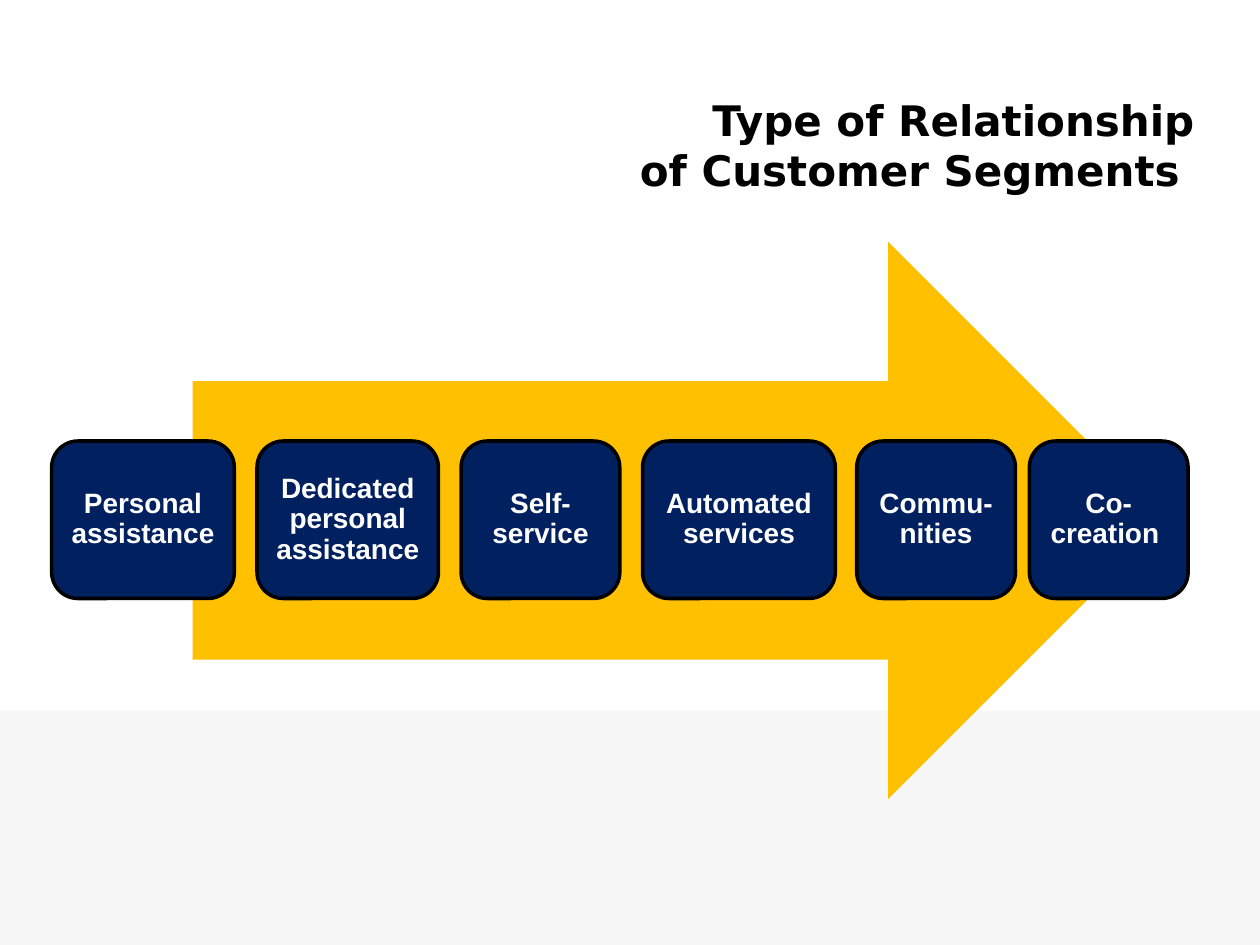
import pptx
import pptx.util
import pptx.dml.color
import pptx.enum.shapes
import pptx.enum.text
from pptx.util import Inches, Pt
from pptx.dml.color import RGBColor
from pptx.enum.shapes import MSO_SHAPE
from pptx.enum.text import MSO_ANCHOR, MSO_AUTO_SIZE, PP_ALIGN

TITLE_LINES = [" Type of Relationship", "of Customer Segments "]
# label, left, width
RELATIONSHIPS = [
    ("Personal assistance", 0.41, 1.45),
    ("Dedicated personal assistance", 2.04, 1.44),
    ("Self-service", 3.66, 1.26),
    ("Automated services", 5.1, 1.53),
    ("Commu- nities", 6.8, 1.26),
    ("Co-creation ", 8.17, 1.26),
]
CARD_TOP, CARD_HEIGHT = 3.5, 1.25
INSET = Inches(0.07)

BLACK = RGBColor(0x00, 0x00, 0x00)
WHITE = RGBColor(0xFF, 0xFF, 0xFF)
PALE_GREY = RGBColor(0xF7, 0xF7, 0xF7)
GOLD = RGBColor(0xFF, 0xC0, 0x00)
NAVY = RGBColor(0x00, 0x20, 0x60)


def add_filled(slide, preset, left, top, width, height, color):
    """Add a preset shape with a plain fill, no outline and no shadow."""
    shape = slide.shapes.add_shape(
        preset, Inches(left), Inches(top), Inches(width), Inches(height))
    shape.shadow.inherit = False
    shape.fill.solid()
    shape.fill.fore_color.rgb = color
    shape.line.fill.background()
    return shape


def add_run(paragraph, text, font_name, size, color):
    run = paragraph.add_run()
    run.text = text
    run.font.name = font_name
    run.font.size = Pt(size)
    run.font.bold = True
    run.font.color.rgb = color


def add_title(slide):
    title = slide.shapes.title
    title.left, title.top = Inches(0.58), Inches(0.55)
    title.width, title.height = Inches(9), Inches(1.2)
    frame = title.text_frame
    frame.auto_size = MSO_AUTO_SIZE.NONE
    frame.word_wrap = True
    frame.vertical_anchor = MSO_ANCHOR.MIDDLE
    paragraph = frame.paragraphs[0]
    paragraph.alignment = PP_ALIGN.RIGHT
    for index, line in enumerate(TITLE_LINES):
        if index:
            paragraph.add_line_break()
        add_run(paragraph, line, "DejaVu Sans", 24, BLACK)


def add_card(slide, label, left, width):
    card = add_filled(slide, MSO_SHAPE.ROUNDED_RECTANGLE,
                      left, CARD_TOP, width, CARD_HEIGHT, NAVY)
    card.line.color.rgb = BLACK
    card.line.width = Pt(2)
    frame = card.text_frame
    frame.word_wrap = True
    frame.vertical_anchor = MSO_ANCHOR.MIDDLE
    frame.margin_left = frame.margin_right = INSET
    frame.margin_top = frame.margin_bottom = INSET
    paragraph = frame.paragraphs[0]
    paragraph.alignment = PP_ALIGN.CENTER
    paragraph.line_spacing = 0.9
    add_run(paragraph, label, "Arial", 16, WHITE)


def main():
    deck = pptx.Presentation()
    deck.slide_width, deck.slide_height = Inches(10), Inches(7.5)
    slide = deck.slides.add_slide(deck.slide_layouts.get_by_name("Title Only"))

    add_title(slide)
    add_filled(slide, MSO_SHAPE.RECTANGLE, 0, 5.64, 10, 1.86, PALE_GREY)
    add_filled(slide, MSO_SHAPE.RIGHT_ARROW, 1.53, 1.92, 7.73, 4.42, GOLD)
    for label, left, width in RELATIONSHIPS:
        add_card(slide, label, left, width)

    deck.save("out.pptx")


if __name__ == "__main__":
    main()
